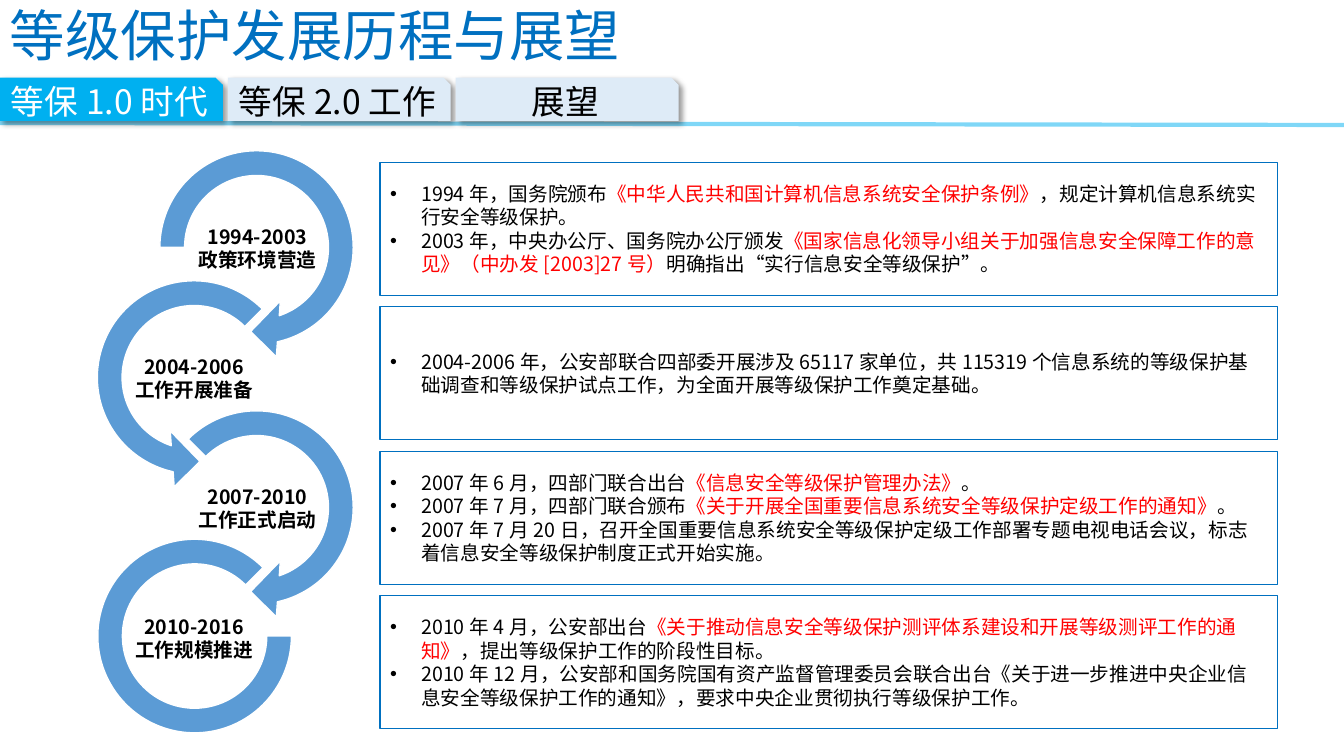
from dataclasses import dataclass

from lxml.etree import SubElement
from pptx import Presentation
from pptx.dml.color import RGBColor
from pptx.enum.shapes import MSO_CONNECTOR, MSO_SHAPE
from pptx.enum.text import MSO_ANCHOR, PP_ALIGN
from pptx.oxml.ns import qn
from pptx.util import Inches, Pt

FONT = "Noto Sans CJK SC"
BLACK, WHITE, RED = "000000", "FFFFFF", "FF0000"
BLUE, SKY, PALE, RING = "0070C0", "00B0F0", "DEEBF7", "5B9BD5"
TAB_STEP = 2.26
STAGE_STEP = 1.29
DETAIL_STEP = 4.3 / 3


@dataclass
class Tab:
    title: str
    fill: str
    color: str


@dataclass
class Stage:
    years: str
    theme: str
    ring: MSO_SHAPE
    left: float
    top: float
    size: float
    adjustments: tuple[float, ...]
    label_left: float
    details: list[tuple[str, ...]]


TABS = [
    Tab("等保1.0时代", SKY, WHITE),
    Tab("等保2.0工作", PALE, BLACK),
    Tab("展望", PALE, BLACK),
]

# In each detail, every second piece is highlighted in red.
STAGES = [
    Stage("1994-2003", "政策环境营造", MSO_SHAPE.CIRCULAR_ARROW, 1.43, 1.34, 2.23,
          (0.11, 11.42, 45, 108, 0.125), 1.93, [
              ("1994年，国务院颁布", "《中华人民共和国计算机信息系统安全保护条例》",
               "，规定计算机信息系统实行安全等级保护。"),
              ("2003年，中央办公厅、国务院办公厅颁发",
               "《国家信息化领导小组关于加强信息安全保障工作的意见》（中办发[2003]27号）",
               "明确指出“实行信息安全等级保护”。"),
          ]),
    Stage("2004-2006", "工作开展准备", MSO_SHAPE.LEFT_CIRCULAR_ARROW, 0.81, 2.63, 2.23,
          (0.11, 11.42, 63, 189, 0.125), 1.3, [
              ("2004-2006年，公安部联合四部委开展涉及65117家单位，共115319个信息系统的"
               "等级保护基础调查和等级保护试点工作，为全面开展等级保护工作奠定基础。",),
          ]),
    Stage("2007-2010", "工作正式启动", MSO_SHAPE.CIRCULAR_ARROW, 1.43, 3.92, 2.23,
          (0.11, 11.42, 45, 135, 0.125), 1.93, [
              ("2007年6月，四部门联合出台", "《信息安全等级保护管理办法》", "。"),
              ("2007年7月，四部门联合颁布",
               "《关于开展全国重要信息系统安全等级保护定级工作的通知》", "。"),
              ("2007年7月20日，召开全国重要信息系统安全等级保护定级工作部署专题电视电话会议，"
               "标志着信息安全等级保护制度正式开始实施。",),
          ]),
    Stage("2010-2016", "工作规模推进", MSO_SHAPE.BLOCK_ARC, 0.97, 5.35, 1.92,
          (0, 189, 0.127), 1.3, [
              ("2010年4月，公安部出台",
               "《关于推动信息安全等级保护测评体系建设和开展等级测评工作的通知》",
               "，提出等级保护工作的阶段性目标。"),
              ("2010年12月，公安部和国务院国有资产监督管理委员会联合出台《关于进一步推进中央企业"
               "信息安全等级保护工作的通知》，要求中央企业贯彻执行等级保护工作。",),
          ]),
]


def rgb(value: str) -> RGBColor:
    return RGBColor.from_string(value)


def style_run(run, size: float, color: str, bold: bool = False) -> None:
    run.font.name = FONT
    run.font.size = Pt(size)
    run.font.bold = bold
    run.font.color.rgb = rgb(color)
    SubElement(run.font._element, qn("a:ea"), typeface=FONT)


def add_figure(slide, kind: MSO_SHAPE, box: tuple[float, ...], fill: str, outline: str = ""):
    figure = slide.shapes.add_shape(kind, *map(Inches, box))
    figure.shadow.inherit = False
    figure.fill.solid()
    figure.fill.fore_color.rgb = rgb(fill)
    if outline:
        figure.line.color.rgb = rgb(outline)
        figure.line.width = Pt(1)
    else:
        figure.line.fill.background()
    return figure


def add_label(slide, box: tuple[float, ...], text: str, size: float, color: str, bold: bool = False):
    frame = slide.shapes.add_textbox(*map(Inches, box)).text_frame
    frame.word_wrap = True
    frame.vertical_anchor = MSO_ANCHOR.MIDDLE
    frame.text = text
    for paragraph in frame.paragraphs:
        style_run(paragraph.runs[0], size, color, bold)
    return frame


def add_rule(slide) -> None:
    rule = slide.shapes.add_connector(
        MSO_CONNECTOR.STRAIGHT, Inches(0), Inches(1.22), Inches(13.33), Inches(1.24))
    rule.line.color.rgb = rgb(SKY)
    rule.line.width = Pt(3)
    tint = next(rule._element.spPr.iter(qn("a:srgbClr")))
    SubElement(tint, qn("a:alpha"), val="50000")
    SubElement(rule._element.spPr, qn("a:effectLst"))


def add_tab(slide, index: int, tab: Tab) -> None:
    figure = add_figure(slide, MSO_SHAPE.SNIP_1_RECTANGLE,
                        (index * TAB_STEP, 0.77, 2.21, 0.43), tab.fill)
    effects = figure._element.spPr.find(qn("a:effectLst"))
    shadow = SubElement(effects, qn("a:outerShdw"), blurRad=str(Pt(4)), dist=str(Pt(3)),
                        dir="2700000", algn="tl", rotWithShape="0")
    shade = SubElement(shadow, qn("a:srgbClr"), val=BLACK)
    SubElement(shade, qn("a:alpha"), val="40000")
    frame = figure.text_frame
    frame.vertical_anchor = MSO_ANCHOR.MIDDLE
    frame.text = tab.title
    frame.paragraphs[0].alignment = PP_ALIGN.CENTER
    style_run(frame.paragraphs[0].runs[0], 24, tab.color)


def add_stage(slide, index: int, stage: Stage) -> None:
    ring = add_figure(slide, stage.ring, (stage.left, stage.top, stage.size, stage.size), RING, WHITE)
    for position, value in enumerate(stage.adjustments):
        ring.adjustments[position] = value
    label = add_label(slide, (stage.label_left, 2.15 + index * STAGE_STEP, 1.25, 0.62),
                      f"{stage.years}\n{stage.theme}", 14, BLACK, True)
    label.margin_left = label.margin_right = Inches(0.01)
    label.margin_top = label.margin_bottom = Inches(0.01)
    for paragraph in label.paragraphs:
        paragraph.alignment = PP_ALIGN.CENTER


def add_details(slide, index: int, details: list[tuple[str, ...]]) -> None:
    panel = add_figure(slide, MSO_SHAPE.RECTANGLE,
                       (3.77, 1.61 + index * DETAIL_STEP, 8.9, 1.32), WHITE, BLUE)
    frame = panel.text_frame
    frame.vertical_anchor = MSO_ANCHOR.MIDDLE
    for number, pieces in enumerate(details):
        paragraph = frame.add_paragraph() if number else frame.paragraphs[0]
        paragraph.alignment = PP_ALIGN.LEFT
        properties = paragraph._p.get_or_add_pPr()
        properties.set("marL", str(Inches(0.31)))
        properties.set("indent", str(Inches(-0.31)))
        bullet_color = SubElement(properties, qn("a:buClr"))
        SubElement(bullet_color, qn("a:srgbClr"), val=BLACK)
        SubElement(properties, qn("a:buFont"), typeface="Arial")
        SubElement(properties, qn("a:buChar"), char="•")
        for position, piece in enumerate(pieces):
            run = paragraph.add_run()
            run.text = piece
            style_run(run, 14, RED if position % 2 else BLACK)


def main() -> None:
    deck = Presentation()
    deck.slide_width, deck.slide_height = Inches(13.33), Inches(7.5)
    slide = deck.slides.add_slide(deck.slide_layouts[6])
    add_rule(slide)
    for index, tab in enumerate(TABS):
        add_tab(slide, index, tab)
    heading = add_label(slide, (0, 0.01, 8.61, 0.75), "等级保护发展历程与展望", 39.6, BLUE)
    heading.paragraphs[0].line_spacing = 0.9
    for index, stage in enumerate(STAGES):
        add_stage(slide, index, stage)
        add_details(slide, index, stage.details)
    deck.save("out.pptx")


if __name__ == "__main__":
    main()
